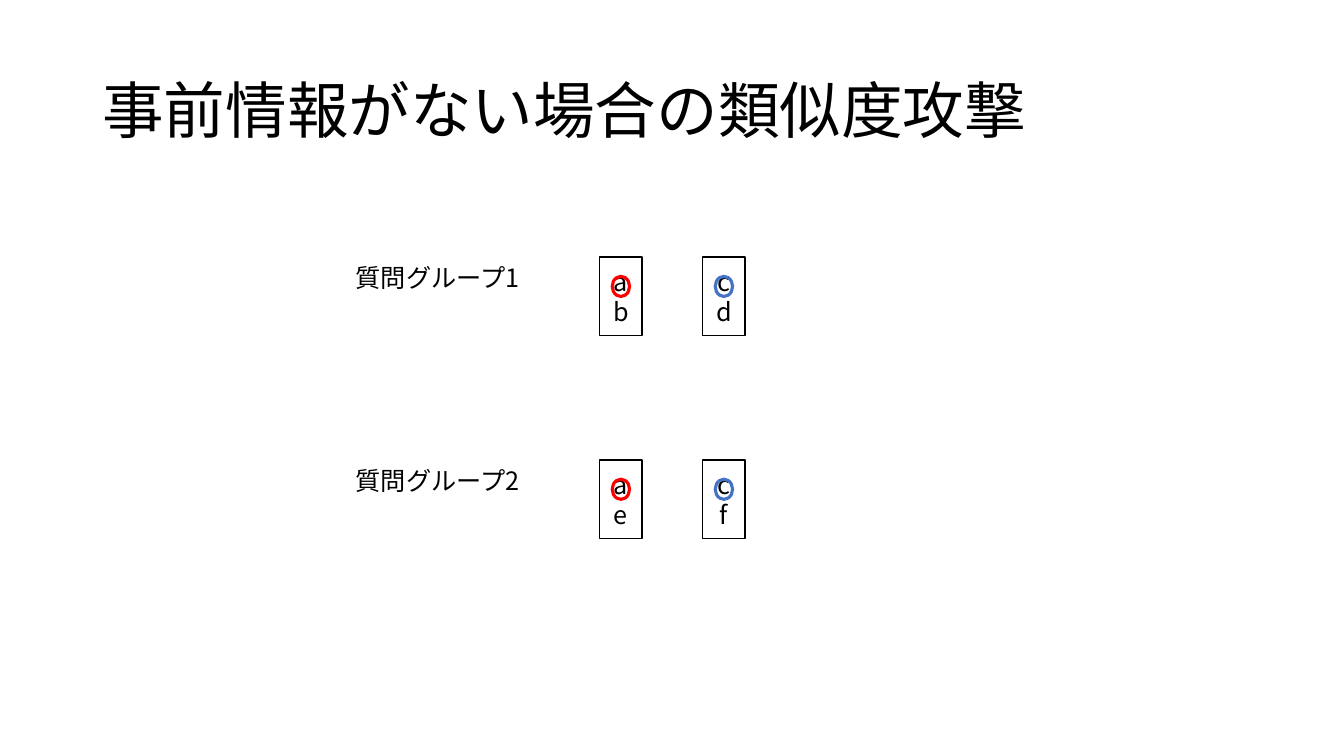
import pptx
import pptx.util
import pptx.dml.color
import pptx.enum.shapes
import pptx.enum.text
import lxml.etree

Pt = pptx.util.Pt
Form = pptx.enum.shapes.MSO_SHAPE
Anchor = pptx.enum.text.MSO_ANCHOR
Align = pptx.enum.text.PP_ALIGN
FONT = "Noto Sans CJK JP"
NS = "{http://schemas.openxmlformats.org/drawingml/2006/main}"
HUES = {"black": "000000", "white": "FFFFFF", "red": "FF0000", "blue": "4472C4"}


def tint(name):
    return pptx.dml.color.RGBColor.from_string(HUES[name])


def write(shape, text, size, align=Align.LEFT, anchor=Anchor.TOP):
    frame = shape.text_frame
    frame.text = text
    frame.word_wrap = True
    frame.vertical_anchor = anchor
    for para in frame.paragraphs:
        para.alignment = align
        for run in para.runs:
            run.font.size = Pt(size)
            run.font.name = FONT
            run.font.color.rgb = tint("black")
            east = lxml.etree.Element(NS + "ea", typeface=FONT)
            run.font._element.find(NS + "latin").addnext(east)


deck = pptx.Presentation()
deck.slide_width = Pt(960)
deck.slide_height = Pt(540)
slide = deck.slides.add_slide(deck.slide_layouts[6])
shapes = slide.shapes

title = shapes.add_textbox(Pt(66), Pt(28.8), Pt(828), Pt(104.4))
write(title, "事前情報がない場合の類似度攻撃", 44, anchor=Anchor.MIDDLE)
title.text_frame.paragraphs[0].line_spacing = 0.9

groups = [
    ("質問グループ1", 183.6, ["a\nb", "c\nd"]),
    ("質問グループ2", 328.5, ["a\ne", "c\nf"]),
]
for name, top, pairs in groups:
    label = shapes.add_textbox(Pt(247), Pt(top), Pt(138.2), Pt(29))
    write(label, name, 18)
    for col, (pair, hue) in enumerate(zip(pairs, ["red", "blue"])):
        left = 428.4 + col * 73.6
        box = shapes.add_shape(Form.RECTANGLE, Pt(left), Pt(top), Pt(30.2), Pt(56.2))
        box.shadow.inherit = False
        box.fill.solid()
        box.fill.fore_color.rgb = tint("white")
        box.line.color.rgb = tint("black")
        box.line.width = Pt(1)
        write(box, pair, 18, Align.CENTER, Anchor.MIDDLE)

        ring = shapes.add_shape(Form.OVAL, Pt(left + 8.9), Pt(top + 13.8), Pt(12.4), Pt(14.4))
        ring.shadow.inherit = False
        ring.fill.background()
        ring.line.color.rgb = tint(hue)
        ring.line.width = Pt(2.25)

deck.save("out.pptx")
